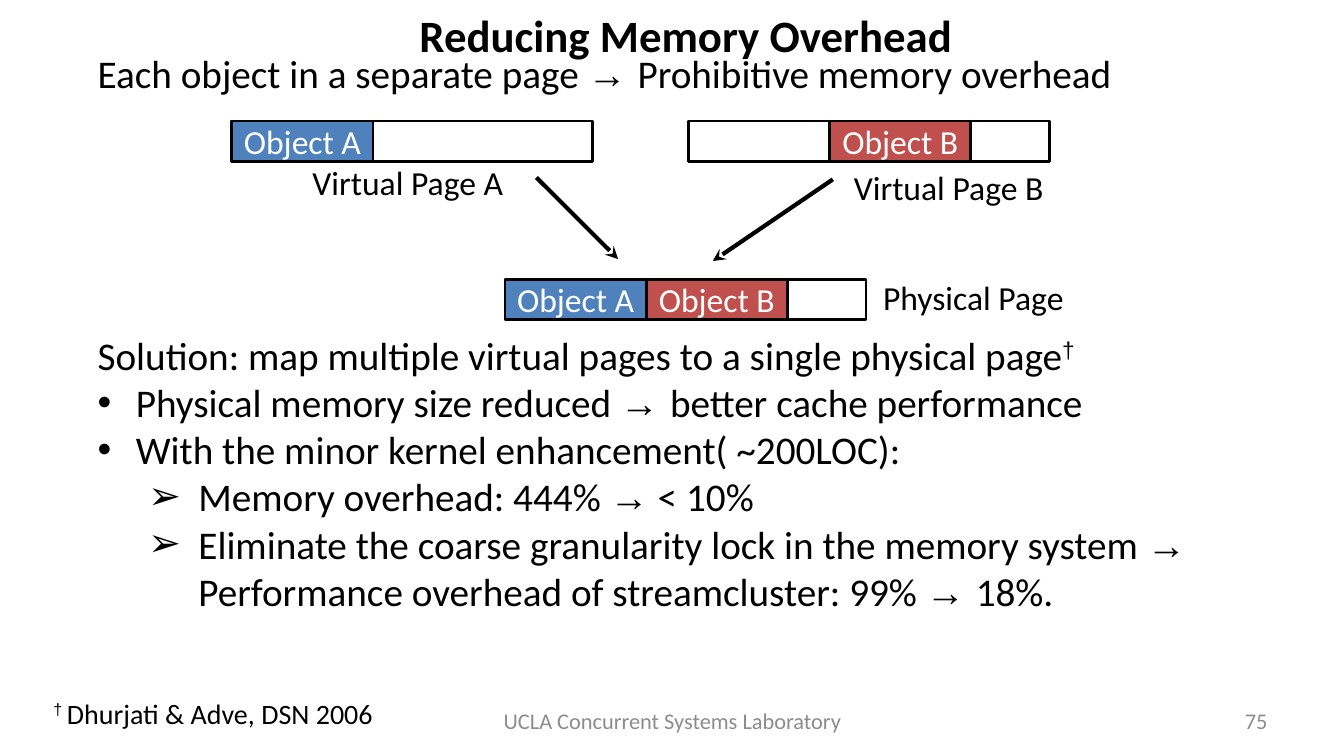
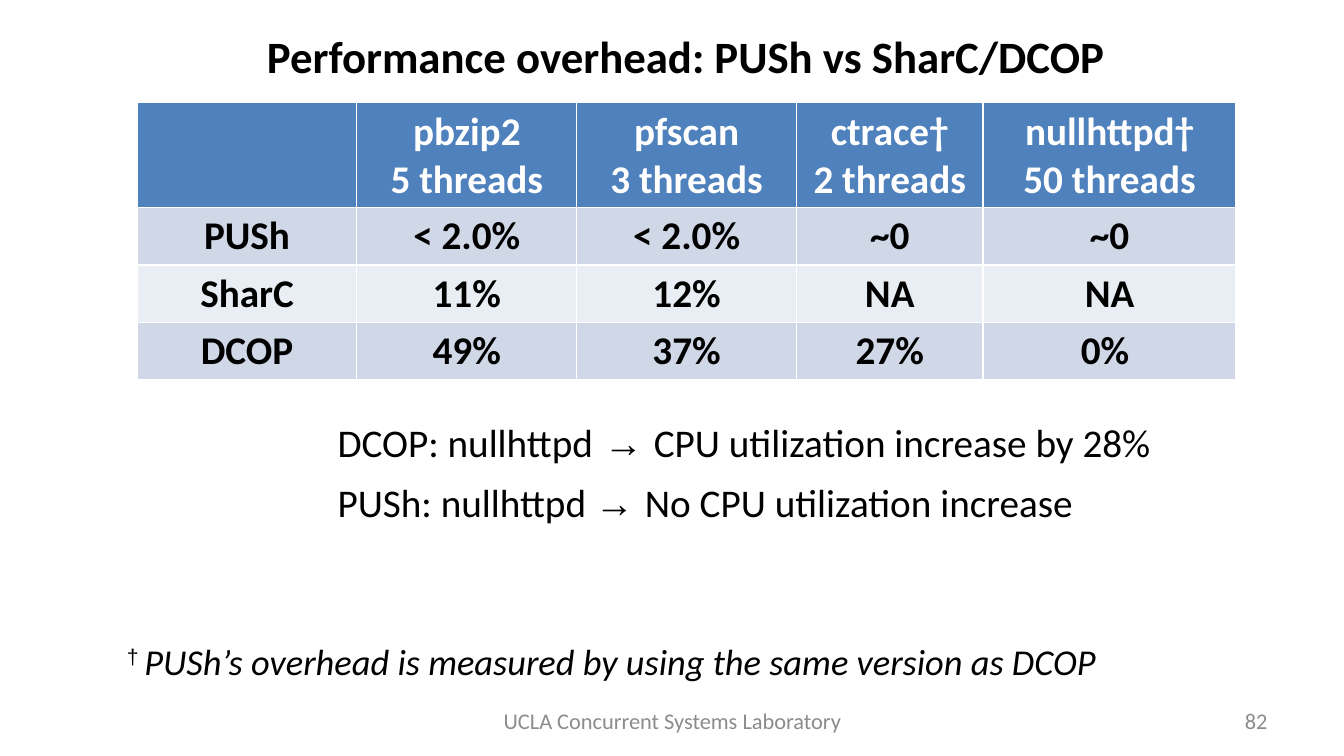
from lxml import etree
from pptx import Presentation
from pptx.dml.color import RGBColor
from pptx.enum import shapes, text
from pptx.oxml.ns import qn
from pptx.util import Inches, Pt

BLACK, WHITE, GREY = "000000", "FFFFFF", "8C8C8C"
BLUE, RED = "4F81BD", "C0504D"
BANDS = ("D0D8E8", "E9EDF4")
BODY_FONT, SYMBOL_FONT = "Calibri", "Arial"
LEFT, CENTER, RIGHT = text.PP_ALIGN.LEFT, text.PP_ALIGN.CENTER, text.PP_ALIGN.RIGHT
PAGE_WIDTH, PAGE_HEIGHT, OBJECT_WIDTH = 3.58, 0.4, 1.4
OBJECTS = {"Object A": (0, BLUE), "Object B": (OBJECT_WIDTH, RED)}


def color(value):
    return RGBColor.from_string(value)


def style_paragraph(paragraph, size, ink=BLACK, align=LEFT, bold=False, italic=False):
    paragraph.alignment = align
    font = paragraph.font
    font.name, font.size, font.bold, font.italic = BODY_FONT, Pt(size), bold, italic
    font.color.rgb = color(ink)


def add_runs(paragraph, line):
    """Runs are parted by |; arrows and raised daggers take the symbol font."""
    for part in line.split("|"):
        if part == "\n":
            paragraph.add_line_break()
            continue
        run = paragraph.add_run()
        run.text = part
        if part.strip() in ("→", "†"):
            run.font.name = SYMBOL_FONT
        if part.strip() == "†":
            run.font.italic = False
            run.font._element.set("baseline", "30000")


def add_bullet(paragraph, symbol, margin, hang):
    properties = paragraph._p.get_or_add_pPr()
    properties.set("marL", str(Inches(margin)))
    properties.set("indent", str(-Inches(hang)))
    etree.SubElement(properties, qn("a:buFont"), typeface=SYMBOL_FONT)
    etree.SubElement(properties, qn("a:buChar"), char=symbol)


def add_text(slide, box, lines, size, anchor=text.MSO_ANCHOR.TOP, gap=0, **style):
    """A line is a string, or (string, bullet, margin, hang)."""
    frame = slide.shapes.add_textbox(*map(Inches, box)).text_frame
    frame.word_wrap = True
    frame.vertical_anchor = anchor
    for index, line in enumerate(lines):
        paragraph = frame.paragraphs[0] if index == 0 else frame.add_paragraph()
        if isinstance(line, tuple):
            line, *bullet = line
            add_bullet(paragraph, *bullet)
        if index and gap:
            paragraph.space_before = Pt(gap)
        style_paragraph(paragraph, size, **style)
        add_runs(paragraph, line)


def add_base_slide(presentation, title, title_top, number):
    slide = presentation.slides.add_slide(presentation.slide_layouts[6])
    middle = text.MSO_ANCHOR.MIDDLE
    add_text(slide, (2.17, title_top, 9.27, 0.69), [title], 32, middle,
             align=CENTER, bold=True)
    add_text(slide, (4.56, 6.95, 4.22, 0.4), ["UCLA Concurrent Systems Laboratory"],
             16, middle, ink=GREY, align=CENTER)
    add_text(slide, (9.56, 6.95, 3.11, 0.4), [number], 16, middle, ink=GREY, align=RIGHT)
    return slide


def add_block(slide, left, top, width, fill, label=None):
    block = slide.shapes.add_shape(shapes.MSO_SHAPE.RECTANGLE, Inches(left), Inches(top),
                                   Inches(width), Inches(PAGE_HEIGHT))
    block.shadow.inherit = False
    block.fill.solid()
    block.fill.fore_color.rgb = color(fill)
    block.line.color.rgb = color(BLACK)
    block.line.width = Pt(2)
    if label:
        paragraph = block.text_frame.paragraphs[0]
        style_paragraph(paragraph, 24, WHITE, CENTER)
        add_runs(paragraph, label)


def add_page(slide, left, top, objects, caption, caption_offset):
    add_block(slide, left, top, PAGE_WIDTH, WHITE)
    for name in objects:
        offset, fill = OBJECTS[name]
        add_block(slide, left + offset, top, OBJECT_WIDTH, fill, name)
    across, down = caption_offset
    add_text(slide, (left + across, top + down, 2.5, 0.5), [caption], 24)


def add_arrow(slide, *ends):
    arrow = slide.shapes.add_connector(shapes.MSO_CONNECTOR.STRAIGHT, *map(Inches, ends))
    arrow.line.color.rgb = color(BLACK)
    arrow.line.width = Pt(3)
    etree.SubElement(arrow.line._get_or_add_ln(), qn("a:tailEnd"), type="stealth")
    etree.SubElement(arrow._element.spPr, qn("a:effectLst"))


def add_page_mapping(slide, left, top):
    add_page(slide, left, top, ["Object A"], "Virtual Page A", (0.7, 0.36))
    add_page(slide, left + 4.53, top, ["Object B"], "Virtual Page B", (1.54, 0.41))
    add_page(slide, left + 2.71, top + 1.57, OBJECTS, "Physical Page", (3.65, -0.07))
    add_arrow(slide, left + 3.02, top + 0.56, left + 3.83, top + 1.37)
    add_arrow(slide, left + 5.96, top + 0.58, left + 4.77, top + 1.39)


def add_overhead_table(slide, left, top, rows, widths, heights):
    table = slide.shapes.add_table(len(rows), len(widths), Inches(left), Inches(top),
                                   Inches(sum(widths)), Inches(sum(heights))).table
    for column, width in zip(table.columns, widths):
        column.width = Inches(width)
    for row_index, (values, height) in enumerate(zip(rows, heights)):
        table.rows[row_index].height = Inches(height)
        header = row_index == 0
        for column_index, value in enumerate(values):
            cell = table.cell(row_index, column_index)
            cell.fill.solid()
            cell.fill.fore_color.rgb = color(BLUE if header else BANDS[(row_index - 1) % 2])
            cell.text = value
            for paragraph in cell.text_frame.paragraphs:
                style_paragraph(paragraph, 28, WHITE if header else BLACK, CENTER, bold=True)


def build_memory_slide(presentation):
    slide = add_base_slide(presentation, "Reducing Memory Overhead", 0, "75")
    add_text(slide, (0.87, 0.44, 11.84, 0.57),
             ["Each object in a separate page |→ |Prohibitive memory overhead"], 28)
    add_page_mapping(slide, 2.3, 1.2)
    # Solution
    first, second = ("•", 0.38, 0.38), ("➢", 1, 0.5)
    add_text(slide, (0.87, 3.24, 11.84, 2.96), [
        "Solution: map multiple virtual pages to a single physical page|†",
        ("Physical memory size reduced |→ |better cache performance", *first),
        ("With the minor kernel enhancement( ~200LOC):", *first),
        ("Memory overhead: 444% |→| < 10%", *second),
        ("Eliminate the coarse granularity lock in the memory system |→|\n|"
         "Performance overhead of streamcluster: 99% |→ |18%.", *second),
    ], 28)
    # Citation
    add_text(slide, (0.43, 6.86, 6.08, 0.44), ["† |Dhurjati & Adve, DSN 2006"], 20)


def build_performance_slide(presentation):
    slide = add_base_slide(presentation, "Performance overhead: PUSh vs SharC/DCOP", 0.21, "82")
    add_overhead_table(slide, 1.36, 1.02, [
        ["", "pbzip2\n5 threads", "pfscan\n3 threads", "ctrace†\n2 threads",
         "nullhttpd†\n50 threads"],
        ["PUSh", "< 2.0%", "< 2.0%", "~0", "~0"],
        ["SharC", "11%", "12%", "NA", "NA"],
        ["DCOP", "49%", "37%", "27%", "0% "],
    ], [2.18, 2.18, 2.18, 1.85, 2.51], [1.04, 0.57, 0.57, 0.57])
    # Findings
    add_text(slide, (3.25, 4.1, 8.54, 1.17), [
        "DCOP: nullhttpd| → |CPU utilization increase by 28%",
        "PUSh: nullhttpd |→ |No CPU utilization increase",
    ], 28, gap=9)
    # Footnote
    add_text(slide, (1.16, 6.29, 9.95, 0.54),
             ["† |PUSh’s overhead is measured by using the same version as DCOP"],
             26, italic=True)


def main():
    presentation = Presentation()
    presentation.slide_width, presentation.slide_height = Inches(13.33), Inches(7.5)
    build_memory_slide(presentation)
    build_performance_slide(presentation)
    presentation.save("out.pptx")


if __name__ == "__main__":
    main()
